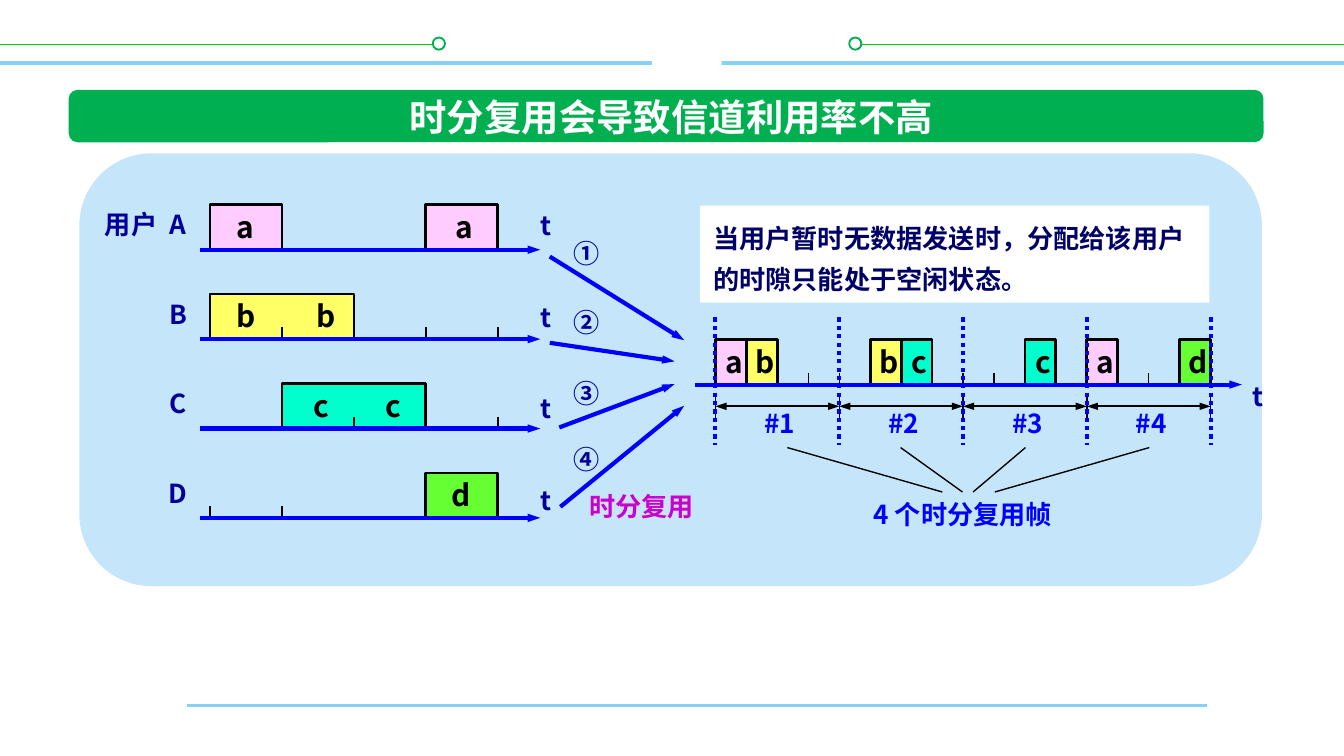
"""Build a slide showing how time-division multiplexing leaves slots idle."""
from dataclasses import dataclass

from lxml.etree import SubElement
from pptx import Presentation
from pptx.dml.color import RGBColor
from pptx.enum.dml import MSO_LINE
from pptx.enum.shapes import MSO_CONNECTOR, MSO_SHAPE
from pptx.enum.text import MSO_ANCHOR, PP_ALIGN
from pptx.oxml.ns import qn
from pptx.shapes.base import BaseShape
from pptx.slide import Slide
from pptx.util import Cm, Pt

FONT = "Noto Sans CJK SC"
NAVY, BLUE, BLACK, WHITE = "000099", "0000FF", "000000", "FFFFFF"
GREEN, LIME, SKY = "00B050", "00CC00", "85D1F7"
FILLS = {"a": "FFCCFF", "b": "FFFF66", "c": "00FFCC", "d": "66FF33"}
BLOCK_HEIGHT, TICK_HEIGHT = 0.85, 0.22

Point = tuple[float, float]


@dataclass
class Block:
    slot: int
    span: int = 1


@dataclass
class User:
    name: str
    data: str
    blocks: list[Block]
    centres: list[float]
    ticks: list[int]
    number: str
    number_top: float
    arrow: tuple[Point, Point]


USERS = [
    User("A", "a", [Block(0), Block(3)], [4.64, 8.78], [],
         "①", 4.37, ((10.39, 4.85), (12.93, 6.43))),
    User("B", "b", [Block(0, 2)], [4.66, 6.16], [1, 3, 4],
         "②", 5.66, ((10.39, 6.48), (12.75, 6.83))),
    User("C", "c", [Block(1, 2)], [6.07, 7.44], [2, 4],
         "③", 7.01, ((10.57, 8.08), (12.75, 7.26))),
    User("D", "d", [Block(3)], [8.72], [0, 1, 3],
         "④", 8.26, ((10.59, 9.58), (12.93, 7.67))),
]
USED_SLOTS = {0: "a", 1: "b", 5: "b", 6: "c", 10: "c", 12: "a", 15: "d"}
IDLE_TICKS = [3, 4, 8, 9, 14]
LEADERS = [(14.88, 17.81), (17.02, 18.19), (19.38, 18.39), (21.72, 18.8)]


def colour(value: str) -> RGBColor:
    """Turn a hex string into a colour."""
    return RGBColor.from_string(value)


def write(box: BaseShape, text: str, size: float, ink: str,
          align: PP_ALIGN = PP_ALIGN.CENTER, spacing: Pt | None = None) -> None:
    """Write one bold paragraph into a shape."""
    para = box.text_frame.paragraphs[0]
    para.alignment = align
    para.space_before = Pt(0)
    if spacing:
        para.line_spacing = spacing
    span = para.add_run()
    span.text = text
    span.font.name, span.font.size, span.font.bold = FONT, Pt(size), True
    span.font.color.rgb = colour(ink)
    for latin in list(box.element.iter(qn("a:latin"))):
        east_asian = SubElement(latin.getparent(), qn("a:ea"), typeface=FONT)
        latin.addnext(east_asian)


def add_label(page: Slide, text: str, left: float, top: float, width: float,
              ink: str = NAVY, size: float = 14, wrap: bool = False) -> None:
    """Place a text label."""
    box = page.shapes.add_textbox(Cm(left), Cm(top), Cm(width), Cm(0.86))
    box.text_frame.word_wrap = wrap
    write(box, text, size, ink, PP_ALIGN.LEFT if wrap else PP_ALIGN.CENTER)


def add_line(page: Slide, start: Point, end: Point, ink: str = BLACK, width: float = 0.75,
             heads: tuple[str, ...] = (), dotted: bool = False) -> None:
    """Draw a straight line, with optional arrowheads or dots."""
    line = page.shapes.add_connector(
        MSO_CONNECTOR.STRAIGHT, *(Cm(value) for value in (*start, *end)))
    line.line.color.rgb = colour(ink)
    line.line.width = Pt(width)
    if dotted:
        line.line.dash_style = MSO_LINE.ROUND_DOT
    properties = line.element.spPr
    for head in heads:
        SubElement(properties.find(qn("a:ln")), qn(f"a:{head}"),
                   type="triangle", w="sm", len="med")
    SubElement(properties, qn("a:effectLst"))


def paint(shape: BaseShape, fill: str, ink: str | None = None, width: float = 1) -> None:
    """Set the fill and outline of a shape."""
    shape.shadow.inherit = False
    shape.fill.solid()
    shape.fill.fore_color.rgb = colour(fill)
    if ink:
        shape.line.color.rgb = colour(ink)
        shape.line.width = Pt(width)
    else:
        shape.line.fill.background()


def add_shape(page: Slide, kind: MSO_SHAPE, left: float, top: float, width: float,
              height: float, fill: str, ink: str | None = None) -> BaseShape:
    """Draw a preset shape."""
    shape = page.shapes.add_shape(kind, Cm(left), Cm(top), Cm(width), Cm(height))
    paint(shape, fill, ink)
    return shape


def add_block(page: Slide, left: float, base: float, width: float, fill: str) -> None:
    """Draw a data block that is open along its base."""
    top, right = base - BLOCK_HEIGHT, left + width
    builder = page.shapes.build_freeform(Cm(left), Cm(base))
    corners = [(left, top), (right, top), (right, base)]
    builder.add_line_segments([(Cm(x), Cm(y)) for x, y in corners], close=False)
    paint(builder.convert_to_shape(), fill, BLACK, 1.5)


def add_tick(page: Slide, x: float, base: float) -> None:
    """Mark a slot boundary on an axis."""
    add_line(page, (x, base - TICK_HEIGHT), (x, base))


def add_frame(page: Slide) -> None:
    """Draw the decoration, the title banner and the panel."""
    for start, end, circle in ((0, 8.23, 8.18), (16.05, 25.4, 16.05)):
        add_line(page, (start, 0.84), (end, 0.84), LIME, 1)
        add_shape(page, MSO_SHAPE.OVAL, circle, 0.71, 0.23, 0.23, WHITE, GREEN)
    add_line(page, (3.53, 13.34), (22.81, 13.34), SKY, 1.5)
    add_line(page, (0, 1.19), (25.4, 1.19), SKY, 2)
    add_shape(page, MSO_SHAPE.RECTANGLE, 12.32, 0.36, 1.32, 1.3, WHITE)
    add_shape(page, MSO_SHAPE.ROUNDED_RECTANGLE, 1.3, 1.7, 22.58, 0.99, GREEN)
    title = page.shapes.title
    title.left, title.top, title.width, title.height = Cm(3.48), Cm(1.7), Cm(18.42), Cm(0.99)
    title.text_frame.vertical_anchor = MSO_ANCHOR.MIDDLE
    write(title, "时分复用会导致信道利用率不高", 20, WHITE)
    title.element.getparent().append(title.element)
    add_shape(page, MSO_SHAPE.ROUNDED_RECTANGLE, 1.5, 2.9, 22.35, 8.18, "C5E5FB")


def add_users(page: Slide) -> None:
    """Draw the time axis of each user and its arrow to the channel."""
    origin, slot = 3.97, 1.36
    add_label(page, "用户", 1.73, 3.81, 1.5)
    for row, user in enumerate(USERS):
        base = 4.72 + 1.69 * row
        for block in user.blocks:
            add_block(page, origin + block.slot * slot, base, block.span * slot,
                      FILLS[user.data])
        for tick in user.ticks:
            add_tick(page, origin + tick * slot, base)
        add_line(page, (3.78, base), (10.21, base), BLUE, 2.25, ("tailEnd",))
        for centre in user.centres:
            add_label(page, user.data, centre - 0.43, base - 0.9, 0.86, BLACK, 16)
        add_label(page, user.name, 2.92, base - 0.9, 0.89)
        add_label(page, "t", 9.96, 3.84 + 1.73 * row, 0.71)
        add_label(page, user.number, 10.57, user.number_top, 1.02)
        add_line(page, *user.arrow, BLUE, 2.25, ("tailEnd",))
    add_label(page, "时分复用", 10.87, 9.14, 2.51, "CC00CC")


def add_channel(page: Slide) -> None:
    """Draw the shared channel with its four frames."""
    origin, frame, base = 13.52, 2.34, 7.27
    slot = frame / 4
    for index, data in USED_SLOTS.items():
        add_block(page, origin + index * slot, base, slot, FILLS[data])
    for index in IDLE_TICKS:
        add_tick(page, origin + index * slot, base)
    add_line(page, (13.13, base), (23.47, base), BLUE, 2.25, ("tailEnd",))
    add_label(page, "t", 23.42, 7.06, 0.71)
    for index, (start, end) in enumerate(LEADERS):
        left = origin + index * frame
        add_line(page, (left, 7.68), (left + frame, 7.68), BLACK, 1, ("headEnd", "tailEnd"))
        add_label(page, f"#{index + 1}", left + frame / 2 - 0.52, 7.57, 1.14, BLUE)
        add_line(page, (start, 8.46), (end, 9.3))
    for index in range(len(LEADERS) + 1):
        x = origin + index * frame
        add_line(page, (x, 7.47), (x, 7.9))
        add_line(page, (x, 6), (x, 8.41), BLUE, 2.25, dotted=True)
    for index, data in USED_SLOTS.items():
        add_label(page, data, origin + index * slot - 0.08, 6.38, 0.86, BLACK, 16)
    add_label(page, "4 个时分复用帧", 16.26, 9.3, 3.96, BLUE, wrap=True)
    note = add_shape(page, MSO_SHAPE.RECTANGLE, 13.23, 3.89, 9.63, 1.83, WHITE)
    note.text_frame.word_wrap = True
    note.text_frame.vertical_anchor = MSO_ANCHOR.TOP
    write(note, "当用户暂时无数据发送时，分配给该用户的时隙只能处于空闲状态。",
          14, "000066", PP_ALIGN.LEFT, Pt(22))


def main() -> None:
    """Build and save the deck."""
    deck = Presentation()
    deck.slide_width, deck.slide_height = Cm(25.4), Cm(14.29)
    page = deck.slides.add_slide(deck.slide_layouts[5])
    add_frame(page)
    add_users(page)
    add_channel(page)
    deck.save("out.pptx")


if __name__ == "__main__":
    main()
